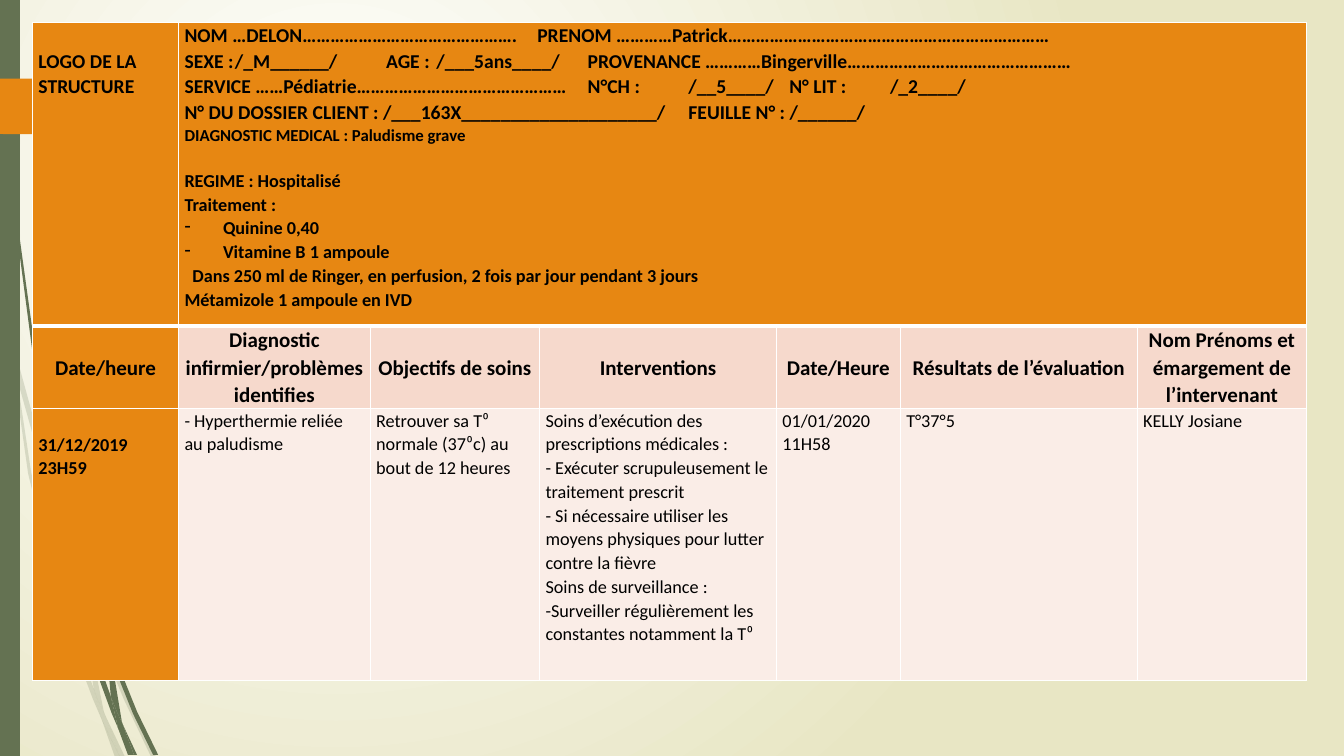
"""Build the nursing care plan slide for a malaria patient."""
from dataclasses import dataclass

from lxml import etree
from pptx import Presentation
from pptx import util as u
from pptx.dml.color import RGBColor
from pptx.enum import shapes, text
from pptx.oxml import parse_xml
from pptx.oxml.ns import nsdecls, qn


@dataclass(frozen=True)
class Theme:
    """Colours and type sizes of the slide."""
    font: str = "Calibri"
    ink: str = "000000"
    white: str = "FFFFFF"
    cream: str = "E8E6C4"
    olive: str = "647252"
    orange: str = "E78712"
    header: str = "F6D9CC"
    body: str = "FAEDE7"
    identity_size: float = 14
    diagnosis_size: float = 12
    text_size: float = 13
    header_size: float = 15
    rule: float = 1
    heavy_rule: float = 3


@dataclass(frozen=True)
class Line:
    """One paragraph of a table cell; tabs and indent are in centimetres."""
    text: str
    size: float = Theme.text_size
    bold: bool = False
    align: object = text.PP_ALIGN.LEFT
    tabs: tuple = ()
    bullet: bool = False
    indent: float = 0
    before: float = 0


class CareSlide:
    """Hold the theme and the slide, and draw each kind of element."""

    def __init__(self, presentation, theme):
        """Add a blank slide to the presentation."""
        self.theme = theme
        self.slide = presentation.slides.add_slide(presentation.slide_layouts[6])

    def background(self):
        """Fill the background with a radial gradient."""
        fill = self.slide.background.fill
        fill.gradient()
        gradient = self.slide.background._cSld.find(".//" + qn("a:gradFill"))
        radial = parse_xml(
            f'<a:gradFill {nsdecls("a")} rotWithShape="1"><a:gsLst>'
            f'<a:gs pos="0"><a:srgbClr val="{self.theme.white}"/></a:gs>'
            f'<a:gs pos="100000"><a:srgbClr val="{self.theme.cream}"/></a:gs></a:gsLst>'
            '<a:path path="circle"><a:fillToRect l="50000" t="50000" r="100000" b="100000"/>'
            '</a:path></a:gradFill>')
        gradient.getparent().replace(gradient, radial)

    def paint(self, shape, color, alpha=100):
        """Give a shape a plain fill without line or shadow."""
        shape.shadow.inherit = False
        shape.line.fill.background()
        shape.fill.solid()
        shape.fill.fore_color.rgb = RGBColor.from_string(color)
        if alpha < 100:
            node = shape._element.spPr.find(qn("a:solidFill"))[0]
            etree.SubElement(node, qn("a:alpha"), val=str(alpha * 1000))

    def band(self, left, top, width, height, color):
        """Draw a plain rectangle."""
        self.paint(self.slide.shapes.add_shape(
            shapes.MSO_SHAPE.RECTANGLE, u.Cm(left), u.Cm(top), u.Cm(width), u.Cm(height)), color)

    def outline(self, parent, points, color, alpha=100):
        """Draw a closed outline; points are in hundredths of 2.54 cm."""
        builder = parent.build_freeform(*points[0], scale=u.Cm(2.54) / 100)
        builder.add_line_segments(points[1:], close=True)
        self.paint(builder.convert_to_shape(), color, alpha)

    def wisps(self, blades, alpha=100):
        """Draw a group of grass blades."""
        group = self.slide.shapes.add_group_shape()
        for blade in blades:
            numbers = [int(number) for number in blade.split()]
            self.outline(group.shapes, list(zip(numbers[::2], numbers[1::2])),
                         self.theme.olive, alpha)

    def set_line(self, paragraph, line):
        """Format a paragraph and add its run."""
        paragraph.alignment = line.align
        paragraph.line_spacing = 1.07
        if line.before:
            paragraph.space_before = u.Pt(line.before)
        properties = paragraph._p.get_or_add_pPr()
        properties.set("marL", str(u.Cm(line.indent)))
        properties.set("indent", str(-u.Cm(line.indent) if line.bullet else 0))
        if line.bullet:
            etree.SubElement(properties, qn("a:buChar"), char="-")
        if line.tabs:
            stops = etree.SubElement(properties, qn("a:tabLst"))
            for stop in line.tabs:
                etree.SubElement(stops, qn("a:tab"), pos=str(u.Cm(stop)), algn="l")
        run = paragraph.add_run()
        run.text = line.text
        run.font.name = self.theme.font
        run.font.size = u.Pt(line.size)
        run.font.bold = line.bold
        run.font.color.rgb = RGBColor.from_string(self.theme.ink)

    def borders(self, cell, top, bottom):
        """Set the white borders of a cell."""
        widths = {"lnL": self.theme.rule, "lnR": self.theme.rule, "lnT": top, "lnB": bottom}
        properties = cell._tc.get_or_add_tcPr()
        for side, width in widths.items():
            border = etree.SubElement(properties, qn("a:" + side), w=str(u.Pt(width)))
            fill = etree.SubElement(border, qn("a:solidFill"))
            etree.SubElement(fill, qn("a:srgbClr"), val=self.theme.white)

    def cell(self, cell, lines, color, top_margin=0, middle=False):
        """Fill a cell and set its lines."""
        cell.fill.solid()
        cell.fill.fore_color.rgb = RGBColor.from_string(color)
        cell.margin_left = cell.margin_right = u.Cm(0.15)
        cell.margin_top, cell.margin_bottom = u.Cm(top_margin), 0
        cell.vertical_anchor = text.MSO_ANCHOR.MIDDLE if middle else text.MSO_ANCHOR.TOP
        frame = cell.text_frame
        for index, line in enumerate(lines):
            self.set_line(frame.add_paragraph() if index else frame.paragraphs[0], line)

    def care_table(self, left, top, columns, rows):
        """Add the bordered table with its merged identity cell."""
        table = self.slide.shapes.add_table(
            len(rows), len(columns), u.Cm(left), u.Cm(top),
            u.Cm(sum(columns)), u.Cm(sum(rows))).table
        table.first_row = table.horz_banding = False
        for column, width in zip(table.columns, columns):
            column.width = u.Cm(width)
        thin, heavy = self.theme.rule, self.theme.heavy_rule
        for index, (row, height) in enumerate(zip(table.rows, rows)):
            row.height = u.Cm(height)
            for cell in row.cells:
                self.borders(cell, heavy if index == 1 else thin, thin if index else heavy)
        table.cell(0, 1).merge(table.cell(0, len(columns) - 1))
        return table


BACK_WISPS = [
    "11 350 9 322 0 282 0 299 10 344", "58 522 84 599 85 586 62 520 14 345 17 376",
    "92 607 88 596 88 610 123 694 150 751 155 751 127 692", "119 751 124 751 105 711",
    "93 683 70 619 31 469 17 376 11 350 28 470 65 621 92 693 101 714 99 707",
    "84 599 87 646 93 683 96 692 105 711 103 706 91 646 88 610 88 608",
    "88 584 110 462 160 349 229 245 268 198 290 175 312 154 312 153 289 175 268 197 "
    "228 244 158 348 107 461 85 584 85 586 88 596",
    "101 714 114 751 119 751", "88 608 88 610 88 596 85 586 84 599",
    "96 692 93 683 99 707 101 714 119 751 105 711"]
FRONT_WISPS = [
    "7 110 17 233 33 355 56 477 57 481 55 457 55 453 36 355 19 232 8 109 5 48 4 0 3 0 4 48",
    "88 592 106 645 106 633 106 631 93 590 60 472 64 505",
    "113 649 110 641 111 656 132 708 152 749 157 749 136 706",
    "110 691 98 657 72 556 64 505 57 477 68 557 93 659 111 708 117 722 116 717",
    "60 472 58 453 54 349 58 245 63 193 70 141 62 193 56 245 52 349 55 449",
    "133 749 136 749 122 719", "57 477 64 505 60 472 55 449 55 453",
    "111 633 125 552 158 476 205 406 231 374 245 359 261 344 260 344 245 358 231 373 "
    "204 405 156 474 122 551 106 631 110 641",
    "117 722 127 749 131 749", "106 645 110 691 116 706 122 719 121 716 111 656 109 651",
    "106 645 109 651 111 656 110 641 106 631 106 633",
    "116 706 110 691 116 717 117 722 130 749 133 749 122 719"]
PAGE_TAB = [(0, 78), (146, 78), (174, 106), (146, 134), (0, 133)]


def main():
    """Build and save the slide."""
    presentation = Presentation()
    presentation.slide_width, presentation.slide_height = u.Cm(33.87), u.Cm(19.05)
    theme = Theme()
    page = CareSlide(presentation, theme)
    page.background()
    page.wisps(BACK_WISPS, alpha=20)
    page.wisps(FRONT_WISPS)
    page.band(0, 0, 0.5, 19.05, theme.olive)
    page.outline(page.slide.shapes, PAGE_TAB, theme.orange)

    justify, center = text.PP_ALIGN.JUSTIFY, text.PP_ALIGN.CENTER
    table = page.care_table(0.82, 0.56, [3.68, 4.83, 4.27, 5.97, 3.12, 5.97, 4.27],
                            [7.65, 2.03, 6.86])
    form = [
        ("NOM …DELON……………………………………….\tPRENOM …………Patrick……………………………………………………………", (8.62,)),
        ("SEXE :\t/_M______/\tAGE :\t/___5ans____/\tPROVENANCE …………Bingerville…………………………………………",
         (2.27, 5.95, 7.61, 12.17)),
        ("SERVICE ……Pédiatrie………………………………………\tN°CH :\t/__5____/\tN° LIT :\t/_2____/",
         (11.19, 12.85, 18.8, 20.79)),
        ("N° DU DOSSIER CLIENT : /___163X____________________/\tFEUILLE N° : /______/", (15.02,))]
    identity = [Line(words, theme.identity_size, True, tabs=tabs) for words, tabs in form] + [
        Line("DIAGNOSTIC MEDICAL : Paludisme grave", theme.diagnosis_size, True, justify),
        Line("REGIME : Hospitalisé", bold=True, align=justify, before=16),
        Line("Traitement :", bold=True, align=justify),
        Line("Quinine 0,40", bold=True, align=justify, bullet=True, indent=0.97),
        Line("Vitamine B 1 ampoule", bold=True, align=justify, bullet=True, indent=0.97),
        Line("Dans 250 ml de Ringer, en perfusion, 2 fois par jour pendant 3 jours",
             bold=True, align=justify, indent=0.2),
        Line("Métamizole 1 ampoule en IVD", bold=True)]
    page.cell(table.cell(0, 0), [Line("LOGO DE LA STRUCTURE", theme.identity_size, True)],
              theme.orange, top_margin=0.65)
    page.cell(table.cell(0, 1), identity, theme.orange)

    headings = ["Date/heure", "Diagnostic infirmier/problèmes identifies", "Objectifs de soins",
                "Interventions", "Date/Heure", "Résultats de l’évaluation",
                "Nom Prénoms et émargement de l’intervenant"]
    entries = [
        ["31/12/2019", "23H59"], ["- Hyperthermie reliée au paludisme"],
        ["Retrouver sa T⁰ normale (37⁰c) au bout de 12 heures"],
        ["Soins d’exécution des prescriptions médicales :",
         "- Exécuter scrupuleusement le traitement prescrit",
         "- Si nécessaire utiliser les moyens physiques pour lutter contre la fièvre",
         "Soins de surveillance :", "-Surveiller régulièrement les constantes notamment la T⁰"],
        ["01/01/2020", "11H58"], ["T°37°5"], ["KELLY Josiane"]]
    for column, (heading, entry) in enumerate(zip(headings, entries)):
        first = column == 0
        page.cell(table.cell(1, column), [Line(heading, theme.header_size, True, center)],
                  theme.orange if first else theme.header, middle=True)
        page.cell(table.cell(2, column), [Line(words, bold=first) for words in entry],
                  theme.orange if first else theme.body, top_margin=0.6 if first else 0)
    presentation.save("out.pptx")


if __name__ == "__main__":
    main()
